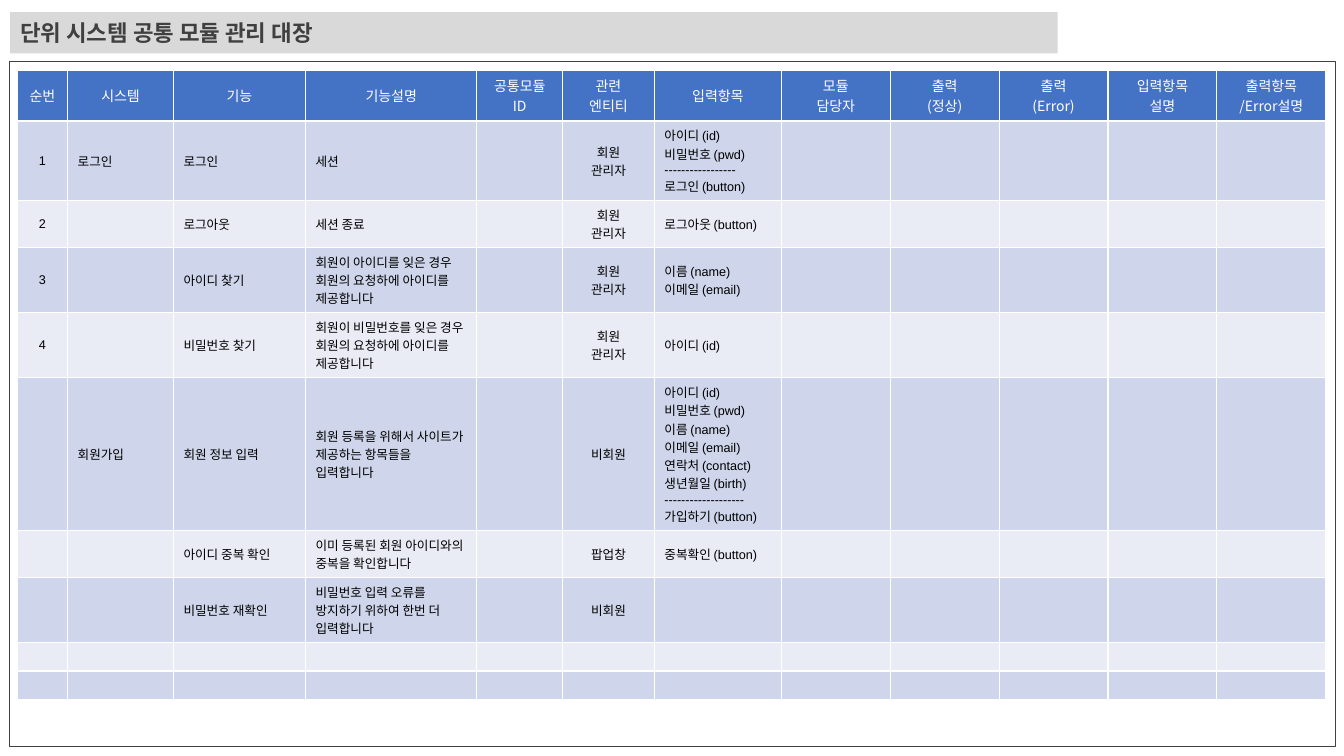
import pptx
import pptx.dml.color
import pptx.enum.shapes
import pptx.enum.text
import pptx.oxml
import pptx.oxml.ns
import pptx.util
from lxml import etree

Inches = pptx.util.Inches
Pt = pptx.util.Pt
ALIGN = pptx.enum.text.PP_ALIGN
MIDDLE = pptx.enum.text.MSO_ANCHOR.MIDDLE

COLORS = {
    "ink": "404040", "title_bar": "D9D9D9", "header": "4472C4",
    "odd_row": "CFD5EA", "even_row": "E9EBF5", "white": "FFFFFF", "black": "000000",
}
KOREAN_FONT = "Noto Sans CJK KR"
BODY_FONT = "Arial"

COLUMN_WIDTHS = [0.5, 1.05, 1.31, 1.7, 0.85, 0.91, 1.26] + [1.08] * 5
ROW_HEIGHTS = [0.5, 0.79, 0.46, 0.64, 0.64, 1.52, 0.46, 0.65, 0.28, 0.28]
CENTERED_COLUMNS = {0, 5}

HEADERS = [
    "순번", "시스템", "기능", "기능설명", "공통모듈\nID", "관련\n엔티티", "입력항목",
    "모듈\n담당자", "출력\n(정상)", "출력\n(Error)", "입력항목\n설명", "출력항목\n/Error설명",
]
# Number, system, function, description, module ID, entity, inputs
MODULES = [
    ["1", "로그인", "로그인", "세션", "", "회원\n관리자",
     "아이디 (id)\n비밀번호 (pwd)\n-----------------\n로그인 (button)"],
    ["2", "", "로그아웃", "세션 종료", "", "회원\n관리자", "로그아웃 (button)"],
    ["3", "", "아이디 찾기", "회원이 아이디를 잊은 경우 회원의 요청하에 아이디를 제공합니다",
     "", "회원\n관리자", "이름 (name)\n이메일 (email)"],
    ["4", "", "비밀번호 찾기", "회원이 비밀번호를 잊은 경우 회원의 요청하에 아이디를 제공합니다",
     "", "회원\n관리자", "아이디 (id)"],
    ["", "회원가입", "회원 정보 입력", "회원 등록을 위해서 사이트가 제공하는 항목들을 입력합니다",
     "", "비회원",
     "아이디 (id)\n비밀번호 (pwd)\n이름 (name)\n이메일 (email)\n연락처 (contact)\n"
     "생년월일 (birth)\n-------------------\n가입하기 (button)"],
    ["", "", "아이디 중복 확인", "이미 등록된 회원 아이디와의 중복을 확인합니다",
     "", "팝업창", "중복확인 (button)"],
    ["", "", "비밀번호 재확인", "비밀번호 입력 오류를 방지하기 위하여 한번 더 입력합니다",
     "", "비회원", ""],
    [],
    [],
]


def rgb(name):
    return pptx.dml.color.RGBColor.from_string(COLORS[name])


def fill_with(target, color):
    target.fill.solid()
    target.fill.fore_color.rgb = rgb(color)


def style_paragraph(paragraph, size, typeface, color, align, bold=False):
    """Set the paragraph's font, with Korean glyphs always in the Korean font."""
    paragraph.alignment = align
    font = paragraph.font
    font.size, font.name, font.bold = Pt(size), typeface, bold
    font.color.rgb = rgb(color)
    properties = paragraph._p.pPr.find(pptx.oxml.ns.qn("a:defRPr"))
    east_asian = etree.SubElement(properties, pptx.oxml.ns.qn("a:ea"))
    east_asian.set("typeface", KOREAN_FONT)


def add_borders(cell):
    """Draw a white 1 pt line on all four sides; borders must precede the fill."""
    properties = cell._tc.get_or_add_tcPr()
    for position, side in enumerate(("lnL", "lnR", "lnT", "lnB")):
        properties.insert(position, pptx.oxml.parse_xml(
            f'<a:{side} {pptx.oxml.ns.nsdecls("a")} w="{Pt(1)}"><a:solidFill>'
            f'<a:srgbClr val="{COLORS["white"]}"/></a:solidFill></a:{side}>'))


def format_title(page, left, top, width, height):
    title = page.shapes.title
    title.left, title.top = Inches(left), Inches(top)
    title.width, title.height = Inches(width), Inches(height)
    fill_with(title, "title_bar")
    frame = title.text_frame
    frame.text = "단위 시스템 공통 모듈 관리 대장"
    frame.vertical_anchor = MIDDLE
    paragraph = frame.paragraphs[0]
    paragraph.line_spacing = 1.0
    style_paragraph(paragraph, 16, KOREAN_FONT, "ink", ALIGN.LEFT, bold=True)


def add_frame(page, left, top, width, height):
    frame = page.shapes.add_shape(
        pptx.enum.shapes.MSO_SHAPE.RECTANGLE,
        Inches(left), Inches(top), Inches(width), Inches(height))
    frame.shadow.inherit = False
    frame.fill.background()
    frame.line.color.rgb = rgb("ink")
    frame.line.width = Pt(0.5)


def add_module_table(page, left, top):
    rows = [HEADERS] + MODULES
    table = page.shapes.add_table(
        len(rows), len(HEADERS), Inches(left), Inches(top),
        Inches(sum(COLUMN_WIDTHS)), Inches(sum(ROW_HEIGHTS))).table
    table.first_row = table.horz_banding = False
    for column, width in zip(table.columns, COLUMN_WIDTHS):
        column.width = Inches(width)
    for row_number, (texts, height) in enumerate(zip(rows, ROW_HEIGHTS)):
        table.rows[row_number].height = Inches(height)
        is_header = row_number == 0
        band = "header" if is_header else "odd_row" if row_number % 2 else "even_row"
        for column_number in range(len(HEADERS)):
            cell = table.cell(row_number, column_number)
            fill_with(cell, band)
            add_borders(cell)
            cell.vertical_anchor = MIDDLE
            cell.text = texts[column_number] if column_number < len(texts) else ""
            centered = is_header or column_number in CENTERED_COLUMNS
            align = ALIGN.CENTER if centered else ALIGN.LEFT
            for paragraph in cell.text_frame.paragraphs:
                if is_header:
                    style_paragraph(paragraph, 10, KOREAN_FONT, "white", align)
                else:
                    style_paragraph(paragraph, 9, BODY_FONT, "black", align)


def main():
    deck = pptx.Presentation()
    deck.slide_width, deck.slide_height = Inches(13.33), Inches(7.5)
    page = deck.slides.add_slide(deck.slide_layouts[5])
    format_title(page, 0.1, 0.12, 10.39, 0.41)
    add_frame(page, 0.09, 0.61, 13.15, 6.79)
    add_module_table(page, 0.17, 0.7)
    deck.save("out.pptx")


if __name__ == "__main__":
    main()
